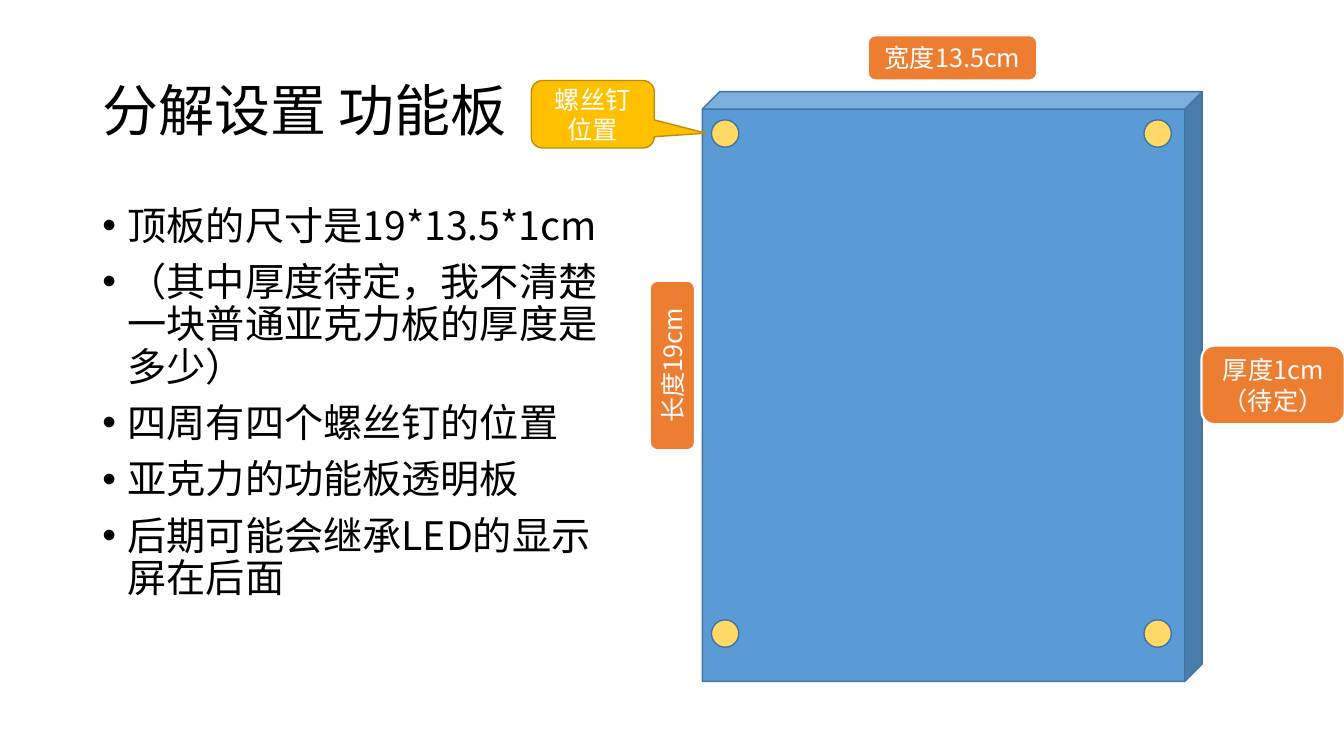
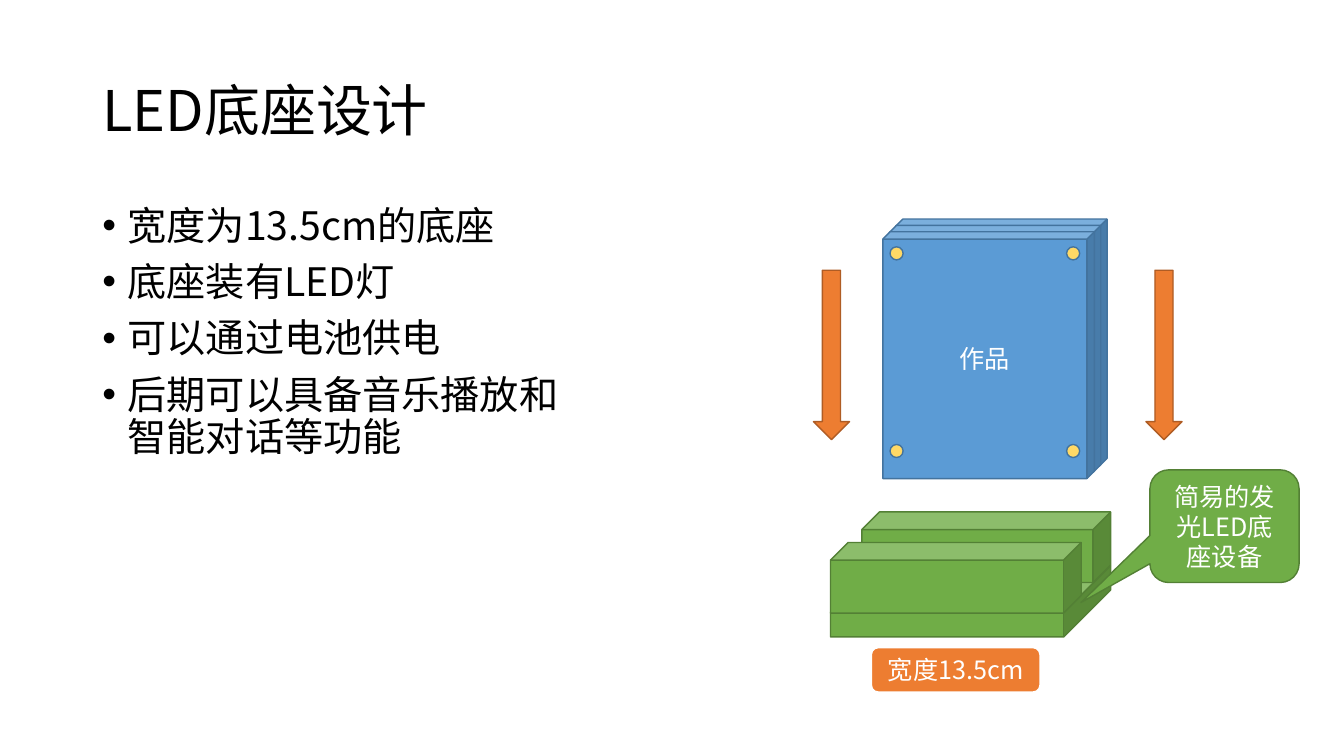
from dataclasses import dataclass

from lxml import etree
from pptx import Presentation
from pptx import util as u
from pptx.dml.color import RGBColor
from pptx.enum import shapes, text
from pptx.oxml import ns

Kind = shapes.MSO_SHAPE
Cm = u.Cm


@dataclass(frozen=True)
class Theme:
    face: str = "Noto Sans CJK SC"
    title: int = 40
    body: int = 28
    note: int = 18
    thin: float = 1
    thick: float = 1.5
    ink: str = "000000"
    white: str = "FFFFFF"
    blue: str = "5B9BD5"
    navy: str = "43739E"
    gold: str = "FFD966"
    amber: str = "FFC000"
    ochre: str = "BD8E00"
    orange: str = "ED7D31"
    rust: str = "AF5C24"
    green: str = "70AD47"
    moss: str = "538035"


T = Theme()


@dataclass(frozen=True)
class Box:
    x: float
    y: float
    w: float
    h: float

    def cm(self) -> tuple:
        return Cm(self.x), Cm(self.y), Cm(self.w), Cm(self.h)


@dataclass(frozen=True)
class Style:
    fill: str
    edge: str
    width: float = T.thin


@dataclass(frozen=True)
class Part:
    kind: int
    box: Box
    style: Style
    words: str = ""
    adj: tuple = ()
    turn: int = 0


BOARD = Style(T.blue, T.navy)
SCREW = Style(T.gold, T.navy)
BASE = Style(T.green, T.moss)
ARROW = Style(T.orange, T.rust)
HINT = Style(T.amber, T.ochre)
LABEL = Style(T.orange, T.white, T.thick)
SLAB = (0.035,)


def set_font(para, size: int, color: str) -> None:
    font = para.font
    font.size = u.Pt(size)
    font.name = T.face
    font.color.rgb = RGBColor.from_string(color)
    props = para._p.get_or_add_pPr().find(ns.qn("a:defRPr"))
    etree.SubElement(props, ns.qn("a:ea"), typeface=T.face)


def add_bullet(para) -> None:
    props = para._p.get_or_add_pPr()
    props.set("marL", str(Cm(0.64)))
    props.set("indent", str(-Cm(0.64)))
    etree.SubElement(props, ns.qn("a:buFont"), typeface="Arial")
    etree.SubElement(props, ns.qn("a:buChar"), char="•")


def add_text(slide, box: Box, lines: list, size: int, anchor, bullet: bool) -> None:
    frame = slide.shapes.add_textbox(*box.cm()).text_frame
    frame.word_wrap = True
    frame.vertical_anchor = anchor
    frame.text = "\n".join(lines)
    for para in frame.paragraphs:
        para.line_spacing = 0.9
        if bullet:
            para.space_before = u.Pt(10)
            add_bullet(para)
        set_font(para, size, T.ink)


def add_part(slide, part: Part) -> None:
    shape = slide.shapes.add_shape(part.kind, *part.box.cm())
    shape.shadow.inherit = False
    shape.rotation = part.turn
    shape.fill.solid()
    shape.fill.fore_color.rgb = RGBColor.from_string(part.style.fill)
    shape.line.color.rgb = RGBColor.from_string(part.style.edge)
    shape.line.width = u.Pt(part.style.width)
    for i, value in enumerate(part.adj):
        shape.adjustments[i] = value
    if part.words:
        frame = shape.text_frame
        frame.word_wrap = True
        frame.vertical_anchor = text.MSO_ANCHOR.MIDDLE
        frame.text = part.words
        for para in frame.paragraphs:
            para.alignment = text.PP_ALIGN.CENTER
            set_font(para, T.note, T.white)


def screws(x: float, y: float, dx: float, dy: float, size: float) -> list:
    return [
        Part(Kind.OVAL, Box(x + i * dx, y + j * dy, size, size), SCREW)
        for j in range(2)
        for i in range(2)
    ]


def label(words: str, x: float, y: float, w: float = 4.27, h: float = 1.14,
          turn: int = 0) -> Part:
    return Part(Kind.ROUNDED_RECTANGLE, Box(x, y, w, h), LABEL, words, turn=turn)


def callout(words: str, box: Box, style: Style, dx: float, dy: float) -> Part:
    return Part(Kind.ROUNDED_RECTANGULAR_CALLOUT, box, style, words, (dx, dy, 0.167))


def cube(box: Box, style: Style, words: str = "", adj: tuple = (0.25,)) -> Part:
    return Part(Kind.CUBE, box, style, words, adj)


def panel() -> list:
    return [
        cube(Box(17.7, 2.31, 12.6, 14.86), BOARD, adj=SLAB),
        label("宽度13.5cm", 21.87, 0.89),
        label("长度19cm", 14.81, 8.64, turn=270),
        label("厚度1cm\n（待定）", 30.28, 8.71, 3.61, 1.98),
        *screws(17.93, 3.02, 10.9, 12.6, 0.69),
        callout("螺丝钉位置", Box(13.39, 2.03, 3.1, 1.7), HINT, 0.919, 0.28),
    ]


def stand() -> list:
    stack = [
        cube(Box(22.25 + 0.16 * i, 5.84 - 0.16 * i, 5.33, 6.22), BOARD,
             "" if i else "作品", SLAB)
        for i in (2, 1, 0)
    ]
    arrows = [Part(Kind.DOWN_ARROW, Box(x, 6.81, 0.91, 4.27), ARROW)
              for x in (20.5, 28.88)]
    return [
        cube(Box(20.93, 14.25, 7.06, 1.8), BASE, adj=(0.656,)),
        cube(Box(21.72, 12.9, 6.27, 1.78), BASE),
        cube(Box(20.93, 13.67, 6.32, 1.78), BASE),
        *stack,
        *screws(22.43, 6.22, 4.45, 4.98, 0.33),
        callout("简易的发光LED底座设备", Box(28.98, 11.84, 3.76, 2.84), BASE,
                -0.963, 0.678),
        *arrows,
        label("宽度13.5cm", 21.95, 16.31),
    ]


def add_page(deck, title: str, lines: list, width: float, parts: list) -> None:
    slide = deck.slides.add_slide(deck.slide_layouts[6])
    add_text(slide, Box(2.33, 1.01, 29.21, 3.68), [title], T.title,
             text.MSO_ANCHOR.MIDDLE, False)
    add_text(slide, Box(2.33, 5.07, width, 12.09), lines, T.body,
             text.MSO_ANCHOR.TOP, True)
    for part in parts:
        add_part(slide, part)


def main() -> None:
    deck = Presentation()
    deck.slide_width, deck.slide_height = Cm(33.87), Cm(19.05)
    add_page(deck, "分解设置 功能板", [
        "顶板的尺寸是19*13.5*1cm",
        "（其中厚度待定，我不清楚一块普通亚克力板的厚度是多少）",
        "四周有四个螺丝钉的位置",
        "亚克力的功能板透明板",
        "后期可能会继承LED的显示屏在后面",
    ], 13.39, panel())
    add_page(deck, "LED底座设计", [
        "宽度为13.5cm的底座",
        "底座装有LED灯",
        "可以通过电池供电",
        "后期可以具备音乐播放和智能对话等功能",
    ], 12.07, stand())
    deck.save("out.pptx")


if __name__ == "__main__":
    main()
